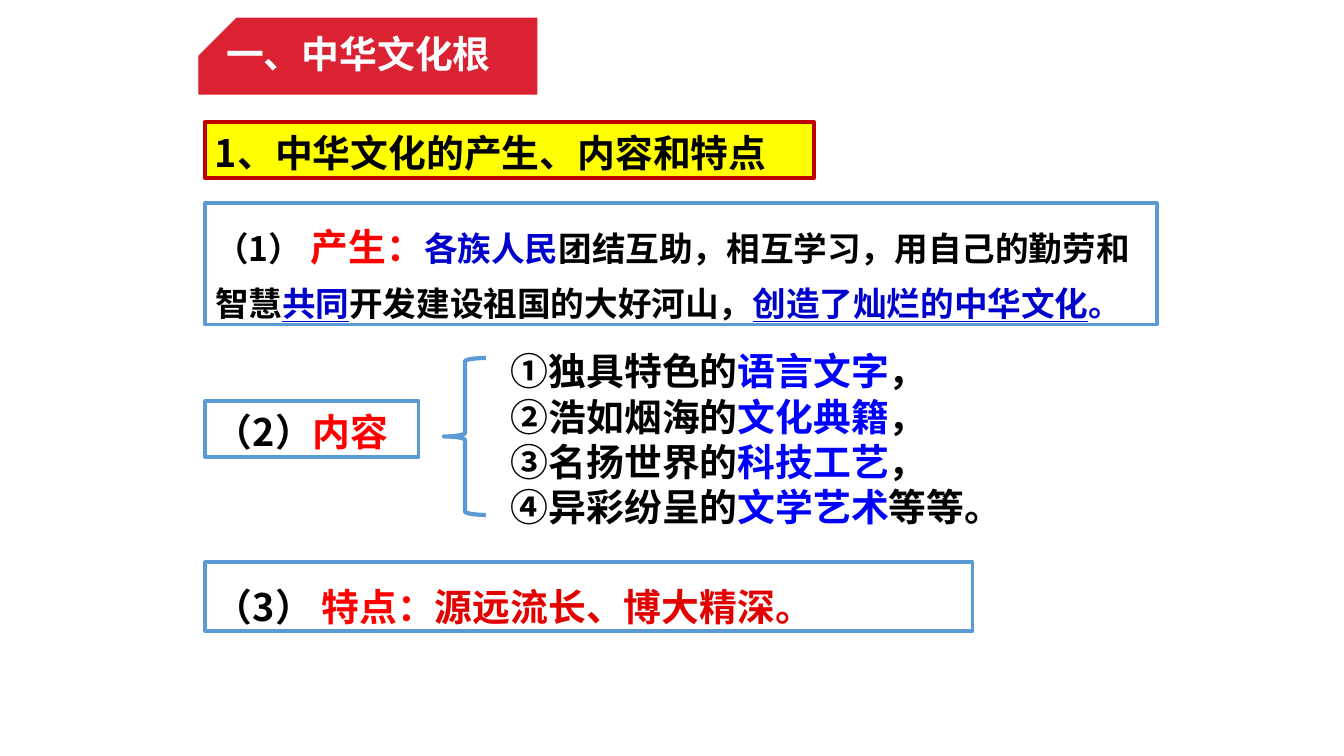
from dataclasses import dataclass
from typing import Optional

from lxml import etree
from pptx import Presentation
from pptx.dml.color import RGBColor
from pptx.enum.shapes import MSO_SHAPE as Preset
from pptx.enum.text import MSO_ANCHOR as Anchor, MSO_AUTO_SIZE as AutoSize, PP_ALIGN as Align
from pptx.oxml.ns import qn
from pptx.util import Emu, Pt

PIXELS_PER_INCH = 100.8
FONT = "Noto Sans CJK SC"
BLACK = RGBColor(0x00, 0x00, 0x00)
WHITE = RGBColor(0xFF, 0xFF, 0xFF)
RED = RGBColor(0xFF, 0x00, 0x00)
DEEP_RED = RGBColor(0xE3, 0x00, 0x00)
BANNER_RED = RGBColor(0xDB, 0x22, 0x32)
BORDER_RED = RGBColor(0xC0, 0x00, 0x00)
YELLOW = RGBColor(0xFF, 0xFF, 0x00)
BLUE = RGBColor(0x00, 0x00, 0xFF)
DARK_BLUE = RGBColor(0x00, 0x00, 0xCC)
BORDER_BLUE = RGBColor(0x5B, 0x9B, 0xD5)


@dataclass(frozen=True)
class Span:
    text: str
    color: RGBColor = BLACK
    size: int = 27
    underline: bool = False


@dataclass(frozen=True)
class Box:
    left: int
    top: int
    width: int
    height: int


@dataclass(frozen=True)
class Panel:
    box: Box
    lines: list[list[Span]]
    border: Optional[RGBColor] = BORDER_BLUE
    border_width: float = 2.25
    fill: Optional[RGBColor] = None
    top_inset: int = 8
    line_pitch: float = 32.4


def px(pixels: int) -> Emu:
    return Emu(round(pixels * 914400 / PIXELS_PER_INCH))


def place(box: Box) -> tuple[Emu, Emu, Emu, Emu]:
    return px(box.left), px(box.top), px(box.width), px(box.height)


def add_spans(paragraph, spans: list[Span]) -> None:
    for span in spans:
        run = paragraph.add_run()
        run.text = span.text
        font = run.font
        font.name, font.size, font.bold = FONT, Pt(span.size), True
        font.color.rgb = span.color
        if span.underline:
            font.underline = True
        # East Asian glyphs take their own typeface element
        east_asian = etree.Element(qn("a:ea"), typeface=FONT)
        font._element.find(qn("a:latin")).addnext(east_asian)


def set_margins(frame, left: int, top: int, right: int, bottom: int) -> None:
    frame.margin_left, frame.margin_top = px(left), px(top)
    frame.margin_right, frame.margin_bottom = px(right), px(bottom)


def add_outline(slide, preset: Preset, box: Box, border: Optional[RGBColor],
                border_width: float, fill: Optional[RGBColor] = None):
    shape = slide.shapes.add_shape(preset, *place(box))
    shape.shadow.inherit = False
    if fill is None:
        shape.fill.background()
    else:
        shape.fill.solid()
        shape.fill.fore_color.rgb = fill
    if border is None:
        shape.line.fill.background()
    else:
        shape.line.color.rgb = border
        shape.line.width = Pt(border_width)
    return shape


def add_panel(slide, panel: Panel) -> None:
    if panel.border is None:
        shape = slide.shapes.add_textbox(*place(panel.box))
    else:
        shape = add_outline(slide, Preset.RECTANGLE, panel.box, panel.border,
                            panel.border_width, panel.fill)
    frame = shape.text_frame
    frame.word_wrap = True
    frame.auto_size = AutoSize.NONE
    frame.vertical_anchor = Anchor.TOP
    set_margins(frame, 10, panel.top_inset, 10, 0)
    for index, spans in enumerate(panel.lines):
        paragraph = frame.add_paragraph() if index else frame.paragraphs[0]
        paragraph.alignment = Align.LEFT
        paragraph.line_spacing = Pt(panel.line_pitch)
        add_spans(paragraph, spans)


def add_title(slide, box: Box, text: str) -> None:
    title = slide.shapes.title
    title.left, title.top, title.width, title.height = place(box)
    frame = title.text_frame
    frame.word_wrap = True
    frame.auto_size = AutoSize.NONE
    frame.vertical_anchor = Anchor.MIDDLE
    set_margins(frame, 7, 4, 7, 4)
    paragraph = frame.paragraphs[0]
    paragraph.alignment = Align.CENTER
    paragraph.line_spacing = 0.8
    add_spans(paragraph, [Span(text, WHITE)])


HEADING = Panel(Box(205, 122, 609, 56), [[Span("1、中华文化的产生、内容和特点")]],
                BORDER_RED, 3, YELLOW)
ORIGIN = Panel(Box(205, 203, 952, 122), [[
    Span("（1）", size=24),
    Span(" 产生：", RED),
    Span("各族人民", DARK_BLUE, 24),
    Span("团结互助，相互学习，用自己的勤劳和智慧", size=24),
    Span("共同", DARK_BLUE, 24, True),
    Span("开发建设祖国的大好河山，", size=24),
    Span("创造了灿烂的中华文化", DARK_BLUE, 24, True),
    Span("。", DARK_BLUE, 24),
]], top_inset=12, line_pitch=38.6)
CONTENT = Panel(Box(205, 401, 214, 56), [[Span("（2）"), Span("内容", RED)]])
CONTENT_ITEMS = [
    ("①独具特色的", "语言文字", "，"),
    ("②浩如烟海的", "文化典籍", "，"),
    ("③名扬世界的", "科技工艺", "，"),
    ("④异彩纷呈的", "文学艺术", "等等。"),
]
CONTENT_LIST = Panel(
    Box(501, 340, 556, 194),
    [[Span(lead), Span(topic, BLUE), Span(ending)] for lead, topic, ending in CONTENT_ITEMS],
    border=None)
FEATURES = Panel(Box(205, 562, 768, 69), [[
    Span("（3） "), Span("特点：", RED), Span("源远流长、博大精深。", DEEP_RED),
]], top_inset=22)

presentation = Presentation()
presentation.slide_width, presentation.slide_height = px(1344), px(756)
slide = presentation.slides.add_slide(presentation.slide_layouts[5])

# Title on its banner, with the snipped corner mirrored to the left
banner = add_outline(slide, Preset.SNIP_1_RECTANGLE, Box(199, 18, 338, 76),
                     BANNER_RED, 0.75, BANNER_RED)
banner.adjustments[0] = 0.5
banner._element.spPr.find(qn("a:xfrm")).set("flipH", "1")
add_title(slide, Box(199, 20, 319, 76), "一、中华文化根")
banner._element.addnext(slide.shapes.title._element)

# Heading, three points and the list of contents
for panel in (HEADING, ORIGIN, CONTENT, CONTENT_LIST, FEATURES):
    add_panel(slide, panel)

# Brace from the contents label to its list
add_outline(slide, Preset.LEFT_BRACE, Box(444, 358, 42, 157), BORDER_BLUE, 3)

presentation.save("out.pptx")
